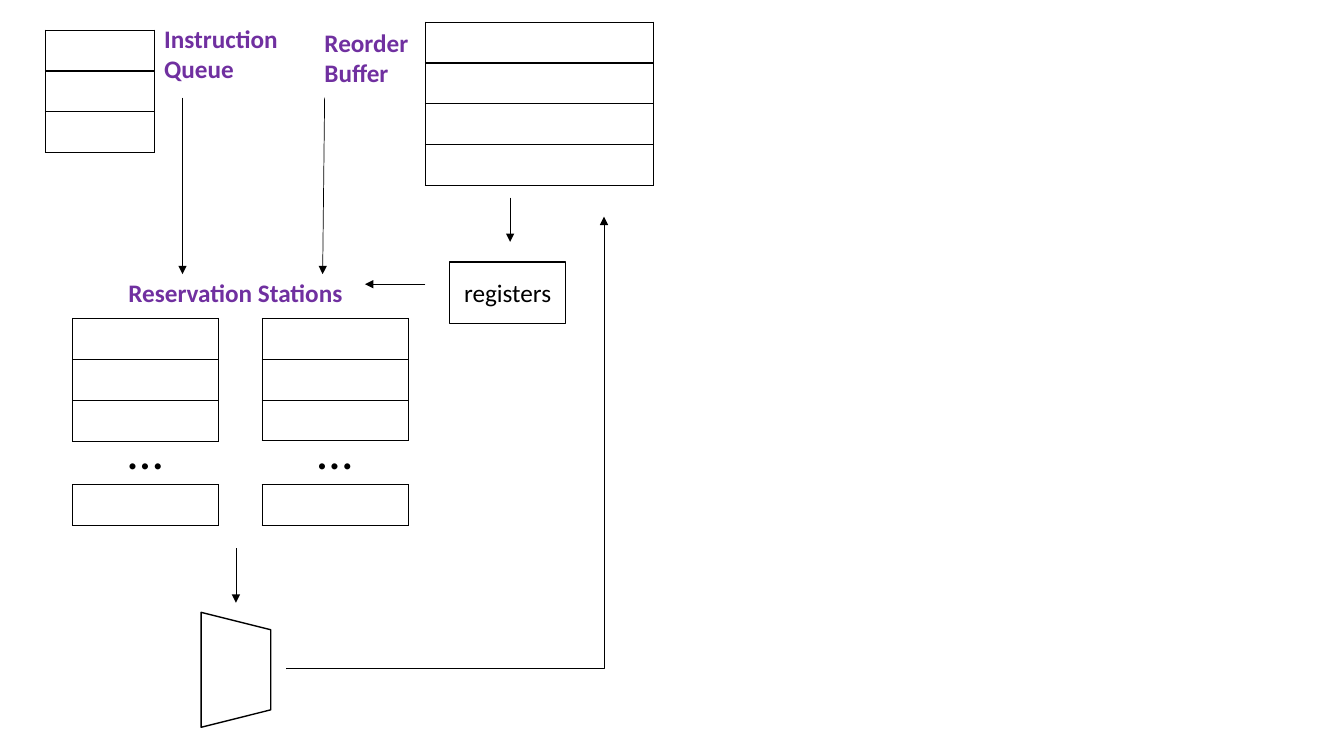
from lxml.etree import SubElement
from pptx import Presentation
from pptx.dml.color import RGBColor
from pptx.enum.shapes import MSO_CONNECTOR, MSO_SHAPE
from pptx.enum.text import MSO_ANCHOR, MSO_AUTO_SIZE, PP_ALIGN
from pptx.oxml.ns import qn
from pptx.util import Inches, Pt

COLORS = {"ink": "000000", "label": "7030A0", "paper": "FFFFFF"}
BODY = {"name": "Calibri", "size": Pt(18)}
LABEL = {**BODY, "bold": True}
DOTS = {**BODY, "size": Pt(36)}
ROW_H = 0.405


def rgb(name):
    return RGBColor.from_string(COLORS[name])


def write(tf, text, font, color, align):
    p = tf.paragraphs[0]
    p.alignment = align
    r = p.add_run()
    r.text = text
    for key, value in font.items():
        setattr(r.font, key, value)
    r.font.color.rgb = rgb(color)


def add_text(s, x, y, w, h, text, font=LABEL, color="label", align=PP_ALIGN.LEFT):
    tf = s.shapes.add_textbox(*map(Inches, (x, y, w, h))).text_frame
    tf.word_wrap = True
    tf.auto_size = MSO_AUTO_SIZE.SHAPE_TO_FIT_TEXT
    write(tf, text, font, color, align)


def add_slots(s, x, y, w, rows):
    """Add a one-column table of empty, outlined slots."""
    frame = s.shapes.add_table(rows, 1, *map(Inches, (x, y, w, rows * ROW_H)))
    table = frame.table
    table.first_row = table.horz_banding = False
    for cell in table.iter_cells():
        tcPr = cell._tc.get_or_add_tcPr()
        for side in ("lnL", "lnR", "lnT", "lnB"):
            ln = SubElement(tcPr, qn("a:" + side), w=str(Pt(1)))
            fill = SubElement(ln, qn("a:solidFill"))
            SubElement(fill, qn("a:srgbClr"), val=COLORS["ink"])
        cell.fill.background()


def add_box(s, kind, x, y, w, h):
    sp = s.shapes.add_shape(kind, *map(Inches, (x, y, w, h)))
    sp.shadow.inherit = False
    sp.fill.solid()
    sp.fill.fore_color.rgb = rgb("paper")
    sp.line.color.rgb = rgb("ink")
    sp.line.width = Pt(1)
    return sp


def add_arrow(s, x1, y1, x2, y2, kind=MSO_CONNECTOR.STRAIGHT):
    c = s.shapes.add_connector(kind, *map(Inches, (x1, y1, x2, y2)))
    c.line.color.rgb = rgb("ink")
    c.line.width = Pt(0.5)
    SubElement(c.line._get_or_add_ln(), qn("a:tailEnd"), type="triangle")
    SubElement(c._element.spPr, qn("a:effectLst"))
    return c


def add_result_arrow(s):
    """Run right from the unit, then up to the reorder buffer."""
    c = add_arrow(s, 6.66, 5.97, 2.17, 2.82, MSO_CONNECTOR.ELBOW)
    spPr = c._element.spPr
    spPr.find(qn("a:xfrm")).set("rot", str(90 * 60000))
    geom = spPr.find(qn("a:prstGeom"))
    SubElement(geom.find(qn("a:avLst")), qn("a:gd"), name="adj1", fmla="val 200")


def main():
    prs = Presentation()
    prs.slide_width, prs.slide_height = Inches(13.33), Inches(7.5)
    s = prs.slides.add_slide(prs.slide_layouts[6])

    # Reservation stations
    for x in (0.72, 2.6):
        add_slots(s, x, 3.16, 1.45, 3)
        add_slots(s, x, 4.81, 1.45, 1)
        add_text(s, x + 0.43, 4.11, 0.58, 0.71, "…", DOTS, "ink", PP_ALIGN.CENTER)
    add_text(s, 0.29, 2.7, 4.09, 0.4, "Reservation Stations", align=PP_ALIGN.CENTER)

    # Instruction queue and reorder buffer
    add_slots(s, 0.45, 0.3, 1.08, 3)
    add_text(s, 1.53, 0.18, 1.67, 0.71, "Instruction Queue")
    add_slots(s, 4.22, 0.22, 2.26, 4)
    add_text(s, 3.12, 0.22, 1.23, 0.71, "Reorder Buffer")

    # Registers and execution unit
    registers = add_box(s, MSO_SHAPE.RECTANGLE, 4.46, 2.6, 1.15, 0.61)
    registers.text_frame.vertical_anchor = MSO_ANCHOR.MIDDLE
    write(registers.text_frame, "registers", BODY, "ink", PP_ALIGN.CENTER)
    unit = add_box(s, MSO_SHAPE.TRAPEZOID, 1.77, 6.3, 1.14, 0.69)
    unit.rotation = 90

    # Data flow
    for ends in (
        (1.81, 0.97, 1.81, 2.72),
        (3.22, 0.97, 3.2, 2.72),
        (2.34, 5.44, 2.34, 5.98),
        (5.06, 1.96, 5.06, 2.4),
        (4.22, 2.82, 3.62, 2.82),
    ):
        add_arrow(s, *ends)
    add_result_arrow(s)

    prs.save("out.pptx")


if __name__ == "__main__":
    main()
